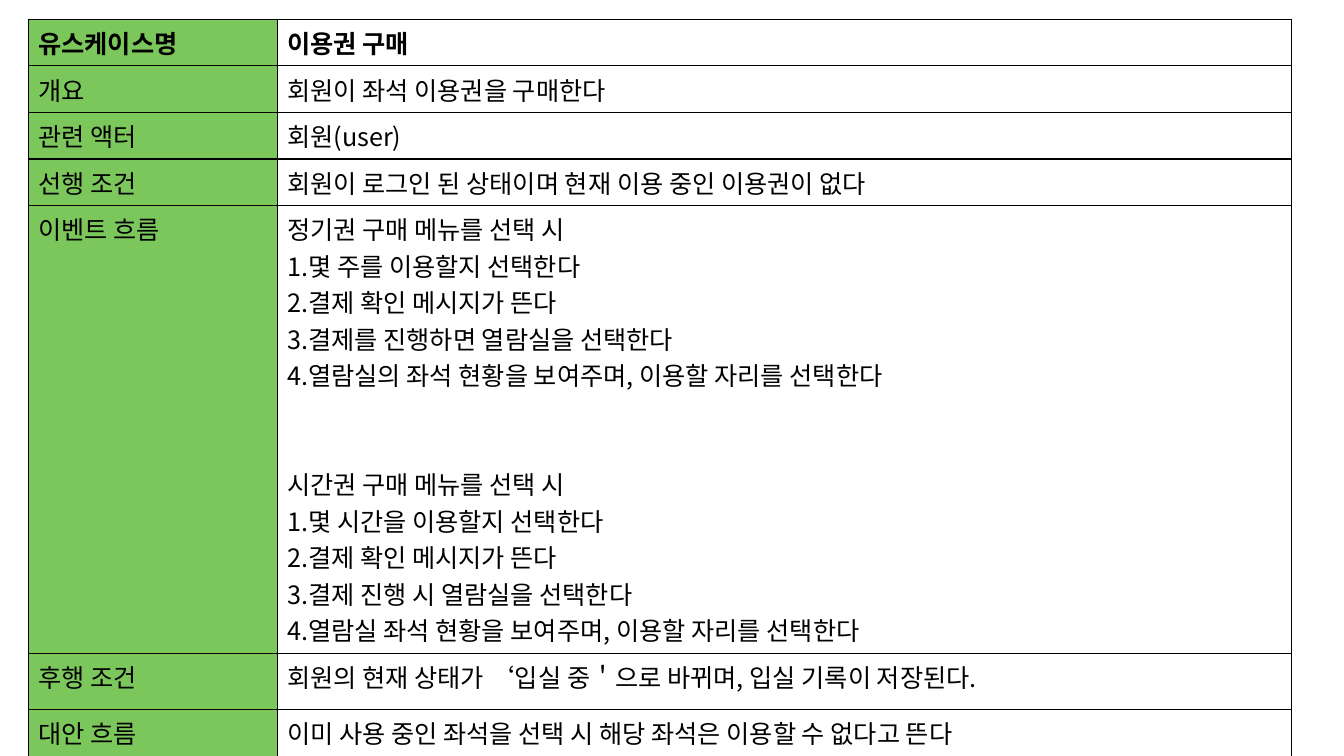
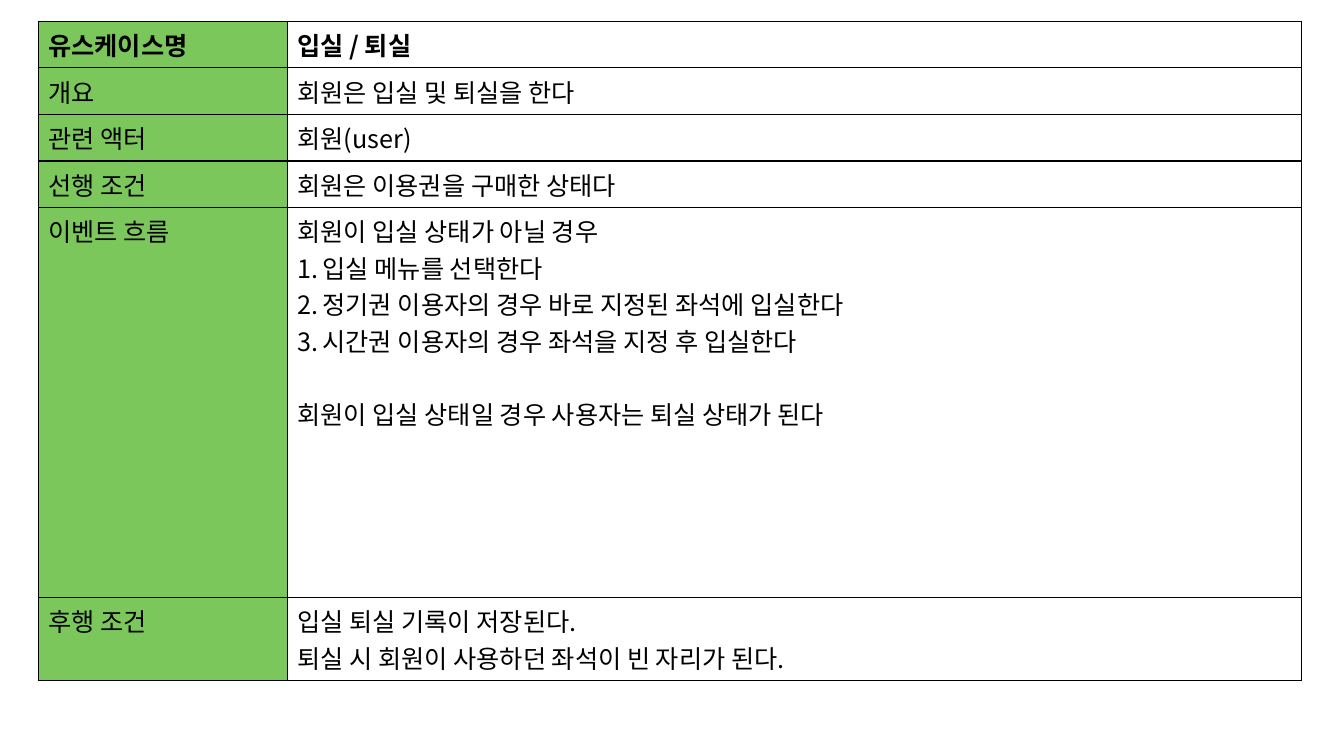
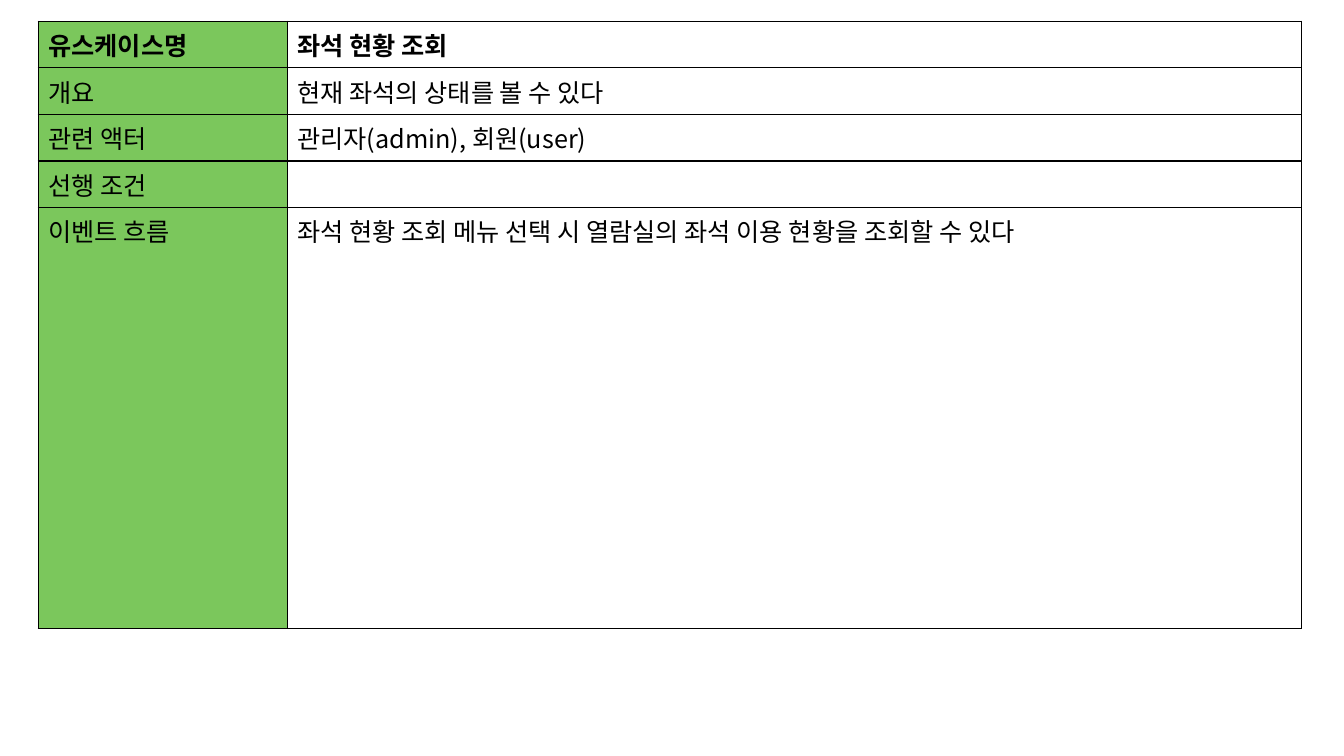
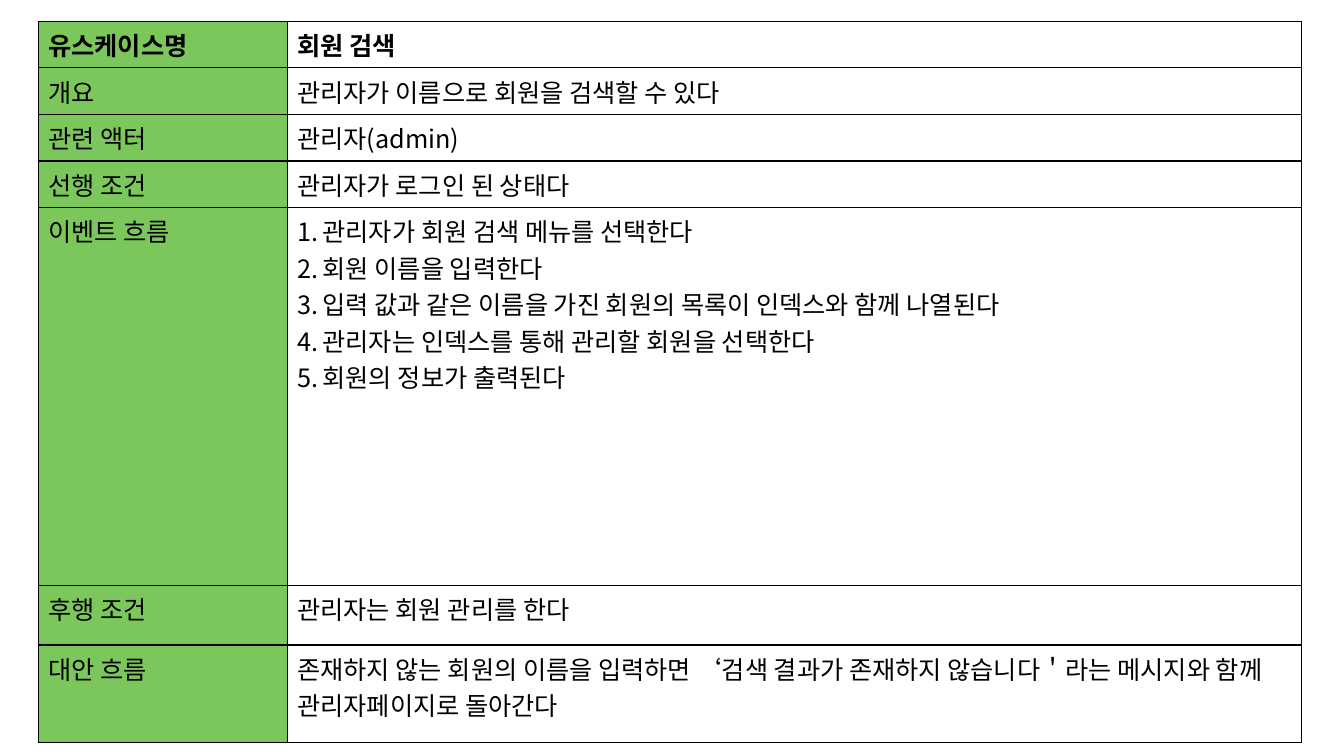
from dataclasses import dataclass

from lxml import etree
from pptx import Presentation
from pptx.dml.color import RGBColor
from pptx.oxml.ns import qn
from pptx.util import Emu, Inches, Pt

BLANK_LAYOUT = 6
BORDER_TAGS = ("a:lnL", "a:lnR", "a:lnT", "a:lnB")
LABELS = ("유스케이스명", "개요", "관련 액터", "선행 조건",
          "이벤트 흐름", "후행 조건", "대안 흐름")


@dataclass(frozen=True)
class Theme:
    """Colours, type and measures shared by all slides."""
    label_fill: str = "7BC75C"
    ink: str = "000000"
    font: str = "Noto Sans CJK KR"
    text_size: int = 18
    line_height: int = 26
    border_width: int = 1
    slide_size: tuple = (13.33, 7.5)
    columns: tuple = (2.47, 10.06)
    number_indent: float = 0.25


@dataclass(frozen=True)
class Line:
    """A paragraph with optional numbering and skipped lines above it."""
    text: str
    numbered: bool = False
    gap: int = 0


@dataclass(frozen=True)
class UseCase:
    """One use case: table position, row heights and the values of its rows."""
    corner: tuple
    short_row: float
    tall_rows: tuple
    values: tuple


THEME = Theme()
MAIN_CORNER = (0.38, 0.21)


def steps(*texts):
    """Return the texts as automatically numbered lines."""
    return tuple(Line(text, numbered=True) for text in texts)


def plain(*texts):
    """Return the texts as ordinary lines."""
    return tuple(Line(text) for text in texts)


USE_CASES = (
    UseCase((0.28, 0.19), 0.39, (4.03, 0.56, 0.94), (
        plain("이용권 구매"),
        plain("회원이 좌석 이용권을 구매한다"),
        plain("회원(user)"),
        plain("회원이 로그인 된 상태이며 현재 이용 중인 이용권이 없다"),
        plain("정기권 구매 메뉴를 선택 시",
              "1.몇 주를 이용할지 선택한다",
              "2.결제 확인 메시지가 뜬다",
              "3.결제를 진행하면 열람실을 선택한다",
              "4.열람실의 좌석 현황을 보여주며, 이용할 자리를 선택한다")
        + (Line("시간권 구매 메뉴를 선택 시", gap=2),)
        + plain("1.몇 시간을 이용할지 선택한다",
                "2.결제 확인 메시지가 뜬다",
                "3.결제 진행 시 열람실을 선택한다",
                "4.열람실 좌석 현황을 보여주며, 이용할 자리를 선택한다"),
        plain("회원의 현재 상태가 ‘입실 중＇으로 바뀌며, 입실 기록이 저장된다."),
        plain("이미 사용 중인 좌석을 선택 시 해당 좌석은 이용할 수 없다고 뜬다"),
    )),
    UseCase(MAIN_CORNER, 0.44, (3.87, 0.77), (
        plain("입실 / 퇴실"),
        plain("회원은 입실 및 퇴실을 한다"),
        plain("회원(user)"),
        plain("회원은 이용권을 구매한 상태다"),
        plain("회원이 입실 상태가 아닐 경우")
        + steps("입실 메뉴를 선택한다",
                "정기권 이용자의 경우 바로 지정된 좌석에 입실한다",
                "시간권 이용자의 경우 좌석을 지정 후 입실한다")
        + (Line("회원이 입실 상태일 경우 사용자는 퇴실 상태가 된다", gap=1),),
        plain("입실 퇴실 기록이 저장된다.",
              "퇴실 시 회원이 사용하던 좌석이 빈 자리가 된다."),
    )),
    UseCase(MAIN_CORNER, 0.44, (4.18,), (
        plain("좌석 현황 조회"),
        plain("현재 좌석의 상태를 볼 수 있다"),
        plain("관리자(admin), 회원(user)"),
        (),
        plain("좌석 현황 조회 메뉴 선택 시 열람실의 좌석 이용 현황을 조회할 수 있다"),
    )),
    UseCase(MAIN_CORNER, 0.44, (3.75, 0.59, 0.97), (
        plain("회원 검색"),
        plain("관리자가 이름으로 회원을 검색할 수 있다"),
        plain("관리자(admin)"),
        plain("관리자가 로그인 된 상태다"),
        steps("관리자가 회원 검색 메뉴를 선택한다",
              "회원 이름을 입력한다",
              "입력 값과 같은 이름을 가진 회원의 목록이 인덱스와 함께 나열된다",
              "관리자는 인덱스를 통해 관리할 회원을 선택한다",
              "회원의 정보가 출력된다"),
        plain("관리자는 회원 관리를 한다"),
        plain("존재하지 않는 회원의 이름을 입력하면 ‘검색 결과가 존재하지 않습니다＇라는 "
              "메시지와 함께 관리자페이지로 돌아간다"),
    )),
)


def set_border(cell):
    """Draw a thin solid line on all four sides of a cell."""
    properties = cell._tc.get_or_add_tcPr()
    for position, tag in enumerate(BORDER_TAGS):
        line = etree.Element(qn(tag), w=str(Pt(THEME.border_width)))
        fill = etree.SubElement(line, qn("a:solidFill"))
        etree.SubElement(fill, qn("a:srgbClr"), val=THEME.ink)
        properties.insert(position, line)


def set_numbering(paragraph):
    """Number a paragraph automatically, with a hanging indent."""
    properties = paragraph._p.get_or_add_pPr()
    indent = Inches(THEME.number_indent)
    for name, value in {"marL": indent, "indent": -indent}.items():
        properties.set(name, str(value))
    etree.SubElement(properties, qn("a:buFont"), typeface="+mj-lt")
    etree.SubElement(properties, qn("a:buAutoNum"), type="arabicPeriod")


def write_line(paragraph, line, bold):
    """Write one line of text in the shared type style."""
    run = paragraph.add_run()
    run.text = line.text
    formats = {"name": THEME.font, "size": Pt(THEME.text_size), "bold": bold}
    for name, value in formats.items():
        setattr(run.font, name, value)
    run.font.color.rgb = RGBColor.from_string(THEME.ink)
    etree.SubElement(run._r.get_or_add_rPr(), qn("a:ea"), typeface=THEME.font)
    if line.gap:
        paragraph.space_before = Pt(line.gap * THEME.line_height)
    if line.numbered:
        set_numbering(paragraph)


def fill_cell(cell, lines, bold=False, color=None):
    """Give a cell its lines of text, fill and border."""
    if color:
        cell.fill.solid()
        cell.fill.fore_color.rgb = RGBColor.from_string(color)
    else:
        cell.fill.background()
    set_border(cell)
    frame = cell.text_frame
    for index, line in enumerate(lines):
        paragraph = frame.add_paragraph() if index else frame.paragraphs[0]
        write_line(paragraph, line, bold)


def add_use_case(presentation, use_case):
    """Add a slide with the table of one use case."""
    slide = presentation.slides.add_slide(presentation.slide_layouts[BLANK_LAYOUT])
    row_count = len(use_case.values)
    short_count = row_count - len(use_case.tall_rows)
    heights = (use_case.short_row,) * short_count + use_case.tall_rows
    left, top = use_case.corner
    sizes = (left, top, sum(THEME.columns), sum(heights))
    table = slide.shapes.add_table(
        row_count, len(THEME.columns), *(Emu(Inches(size)) for size in sizes)).table
    for name in ("first_row", "horz_banding"):
        setattr(table, name, False)
    for column, width in zip(table.columns, THEME.columns):
        column.width = Inches(width)
    for index, (label, lines) in enumerate(zip(LABELS, use_case.values)):
        table.rows[index].height = Inches(heights[index])
        is_heading = index == 0
        fill_cell(table.cell(index, 0), plain(label), is_heading, THEME.label_fill)
        fill_cell(table.cell(index, 1), lines, is_heading)


def main():
    """Build and save the presentation."""
    presentation = Presentation()
    width, height = THEME.slide_size
    presentation.slide_width = Inches(width)
    presentation.slide_height = Inches(height)
    for use_case in USE_CASES:
        add_use_case(presentation, use_case)
    presentation.save("out.pptx")


main()
